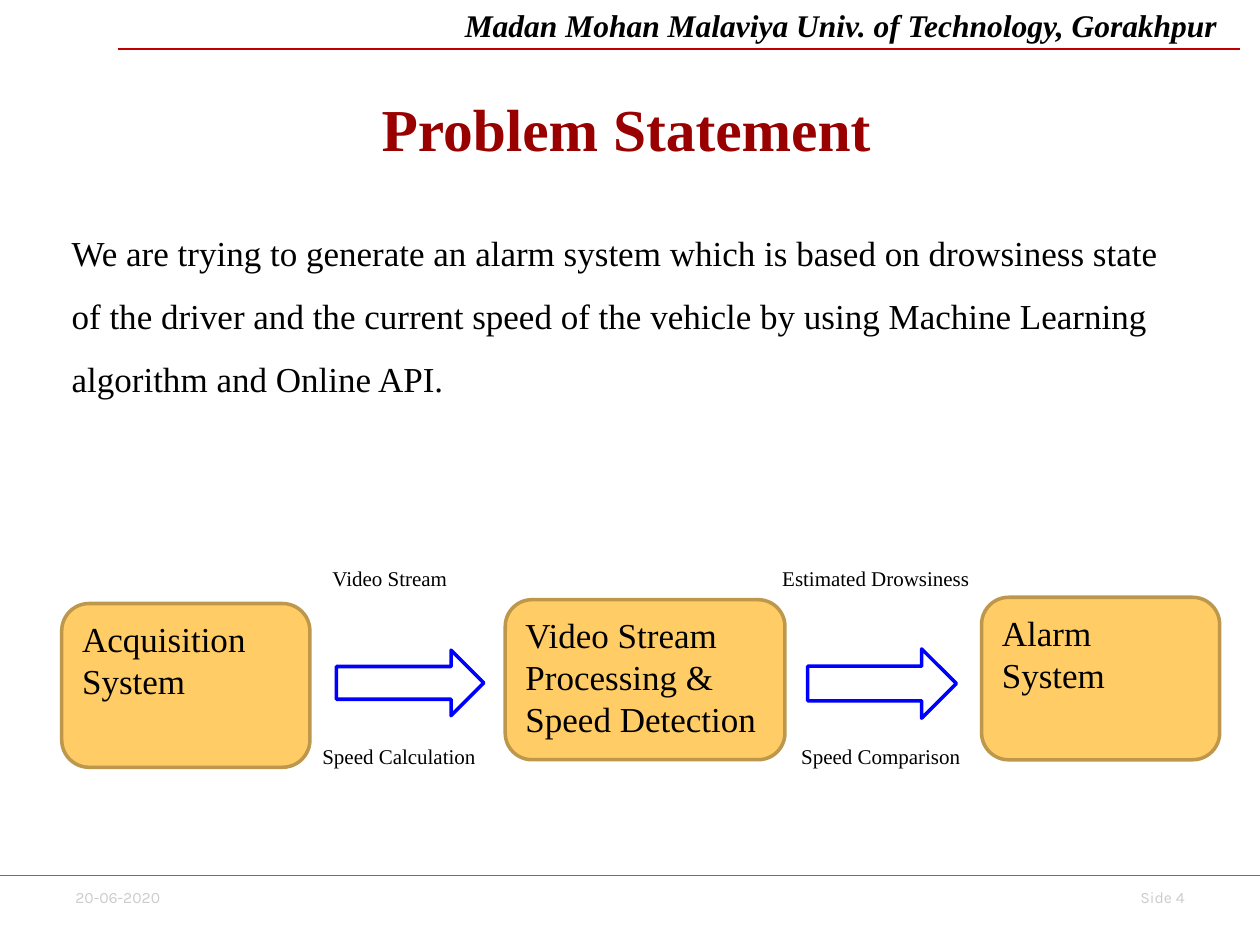
from pptx import Presentation
from pptx.dml.color import RGBColor
from pptx.enum.shapes import MSO_CONNECTOR, MSO_SHAPE
from pptx.enum.text import MSO_ANCHOR, PP_ALIGN
from pptx.oxml.ns import qn
from pptx.util import Inches, Pt

LINE = MSO_CONNECTOR.STRAIGHT
BOX, ARROW = MSO_SHAPE.ROUNDED_RECTANGLE, MSO_SHAPE.RIGHT_ARROW
LEFT, MID, RIGHT = PP_ALIGN.LEFT, PP_ALIGN.CENTER, PP_ALIGN.RIGHT
TOP = MSO_ANCHOR.TOP
SERIF, SANS = "Times New Roman", "Karla"
BLACK, RED, GREY = "000000", "990000", "CCCCCC"


def paint(code):
    return RGBColor.from_string(code)


class Deck:
    """Holds the style and the current slide."""

    def __init__(self):
        self.prs = Presentation()
        self.prs.slide_width, self.prs.slide_height = Inches(10), Inches(7.5)
        self.slide = self.prs.slides.add_slide(self.prs.slide_layouts[6])

    def label(self, frame, text, size, color=BLACK, font=SERIF, bold=False,
              slant=False, align=LEFT, space=1):
        frame.word_wrap = True
        frame.vertical_anchor = TOP
        frame.text = text
        for para in frame.paragraphs:
            para.alignment = align
            para.line_spacing = space
            for run in para.runs:
                run.font.name, run.font.size = font, Pt(size)
                run.font.bold, run.font.italic = bold, slant
                run.font.color.rgb = paint(color)

    def text(self, at, text, size, **style):
        box = self.slide.shapes.add_textbox(*map(Inches, at))
        self.label(box.text_frame, text, size, **style)

    def rule(self, left, right, y, color):
        line = self.slide.shapes.add_connector(
            LINE, Inches(left), Inches(y), Inches(right), Inches(y))
        line.line.color.rgb = paint(color)
        line.line.width = Pt(0.75)
        props = line._element.spPr
        props.append(props.makeelement(qn("a:effectLst"), {}))

    def shape(self, kind, at, fill, edge):
        shape = self.slide.shapes.add_shape(kind, *map(Inches, at))
        shape.shadow.inherit = False
        shape.fill.solid()
        shape.fill.fore_color.rgb = paint(fill)
        shape.line.color.rgb = paint(edge)
        shape.line.width = Pt(2)
        return shape

    def stage(self, at, text):
        self.label(self.shape(BOX, at, "FFCC66", "BD974B").text_frame, text, 20)

    def arrow(self, at):
        self.shape(ARROW, at, "FFFFFF", "0000FF")


def main():
    deck = Deck()
    deck.text((0.5, 7, 1.03, 0.25), "20-06-2020", 9, color=GREY, font=SANS)
    deck.text((8.67, 7, 0.83, 0.25), "Side 4", 9, color=GREY, font=SANS, align=RIGHT)
    deck.text((3.59, 0, 6.41, 0.4),
              "Madan Mohan Malaviya Univ. of Technology, Gorakhpur",
              18, bold=True, slant=True)
    deck.rule(0.94, 9.84, 0.39, "C00000")
    deck.rule(0, 10, 6.95, "00B050")

    deck.text((0.47, 0.68, 9, 0.94), "Problem Statement", 34,
              color=RED, bold=True, align=MID)
    deck.text((0.47, 1.62, 9, 2.28),
              "We are trying to generate an alarm system which is based on "
              "drowsiness state of the driver and the current speed of the "
              "vehicle by using Machine Learning algorithm and Online API.",
              20, space=1.5)

    for left, top, label in (
            (2.54, 4.44, "Video Stream"), (6.11, 4.44, "Estimated Drowsiness"),
            (2.46, 5.85, "Speed Calculation"), (6.26, 5.85, "Speed Comparison")):
        deck.text((left, top, 1.75, 0.3), label, 12)

    deck.stage((0.49, 4.79, 1.97, 1.3), "Acquisition System")
    deck.arrow((2.67, 5.16, 1.17, 0.52))
    deck.stage((4.01, 4.76, 2.22, 1.27), "Video Stream\nProcessing & Speed Detection")
    deck.arrow((6.41, 5.15, 1.18, 0.55))
    deck.stage((7.79, 4.74, 1.89, 1.29), "Alarm System")
    deck.prs.save("out.pptx")


if __name__ == "__main__":
    main()
